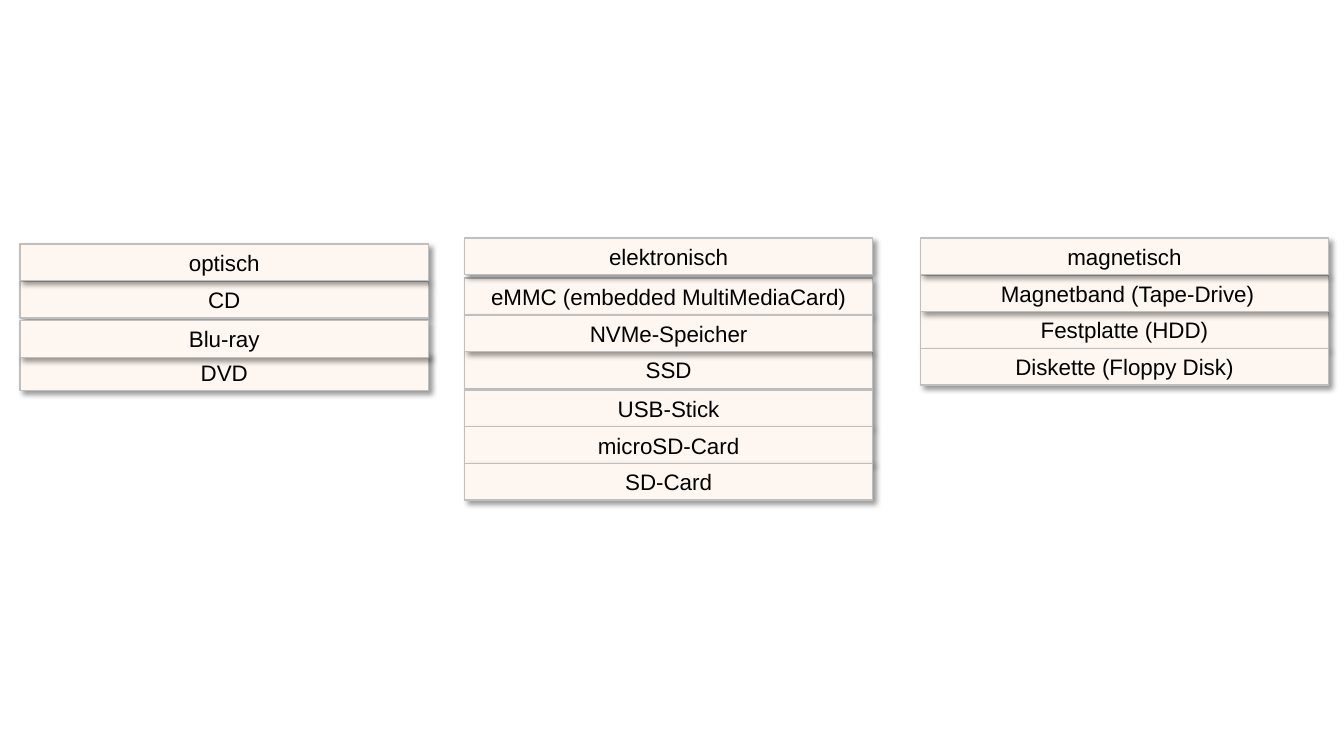
from dataclasses import dataclass

from lxml import etree
from pptx import Presentation
from pptx.dml.color import RGBColor
from pptx.enum.shapes import MSO_SHAPE
from pptx.enum.text import MSO_ANCHOR, MSO_AUTO_SIZE, PP_ALIGN
from pptx.oxml.ns import qn
from pptx.shapes.autoshape import Shape
from pptx.slide import Slide
from pptx.util import Pt

RECTANGLE = MSO_SHAPE.RECTANGLE
TOP = MSO_ANCHOR.TOP
GROW = MSO_AUTO_SIZE.SHAPE_TO_FIT_TEXT
CENTER = PP_ALIGN.CENTER

CARD_WIDTH, CARD_HEIGHT = 291.6, 26.2
CARD_FILL, CARD_LINE, BLACK = "FEF6F0", "BFBFBF", "000000"


@dataclass(frozen=True)
class Card:
    text: str
    top: float


@dataclass(frozen=True)
class Column:
    left: float
    cards: tuple[Card, ...]  # from back to front, heading last


COLUMNS = (
    Column(14.4, (
        Card("DVD", 252.8),
        Card("CD", 200.9),
        Card("Blu-ray", 229),
        Card("optisch", 174.3),
    )),
    Column(657.4, (
        Card("Festplatte (HDD)", 222.6),
        Card(" Magnetband (Tape-Drive)", 196.5),
        Card("Diskette (Floppy Disk)", 248.9),
        Card("magnetisch", 170),
    )),
    Column(331.8, (
        Card("SSD", 251.2),
        Card("USB-Stick", 278.6),
        Card("microSD-Card", 304.8),
        Card("SD-Card", 331),
        Card("eMMC (embedded MultiMediaCard)", 198.7),
        Card("NVMe-Speicher", 224.9),
        Card("elektronisch", 170),
    )),
)


def color(value: str) -> RGBColor:
    return RGBColor.from_string(value)


def add_shadow(box: Shape) -> None:
    """Soft black shadow falling to the lower right."""
    box.shadow.inherit = False
    effects = box.element.spPr.find(qn("a:effectLst"))
    shadow = etree.SubElement(
        effects, qn("a:outerShdw"), blurRad=str(Pt(4)), dist=str(Pt(3)),
        dir=str(45 * 60000), algn="tl", rotWithShape="0")
    tint = etree.SubElement(shadow, qn("a:srgbClr"), val=BLACK)
    etree.SubElement(tint, qn("a:alpha"), val="40000")


def add_card(page: Slide, left: float, card: Card) -> None:
    box = page.shapes.add_shape(
        RECTANGLE, Pt(left), Pt(card.top), Pt(CARD_WIDTH), Pt(CARD_HEIGHT))
    box.fill.solid()
    box.fill.fore_color.rgb = color(CARD_FILL)
    box.line.color.rgb = color(CARD_LINE)
    box.line.width = Pt(1)
    add_shadow(box)

    # Label
    frame = box.text_frame
    frame.text = card.text
    frame.word_wrap = True
    frame.auto_size = GROW
    frame.vertical_anchor = TOP
    para = frame.paragraphs[0]
    para.alignment = CENTER
    font = para.runs[0].font
    font.name = "Arial"
    font.size = Pt(16)
    font.color.rgb = color(BLACK)


def main() -> None:
    deck = Presentation()
    deck.slide_width, deck.slide_height = Pt(960), Pt(540)
    page = deck.slides.add_slide(deck.slide_layouts[6])

    # Storage media by technology
    for column in COLUMNS:
        for card in column.cards:
            add_card(page, column.left, card)

    deck.save("out.pptx")


if __name__ == "__main__":
    main()
